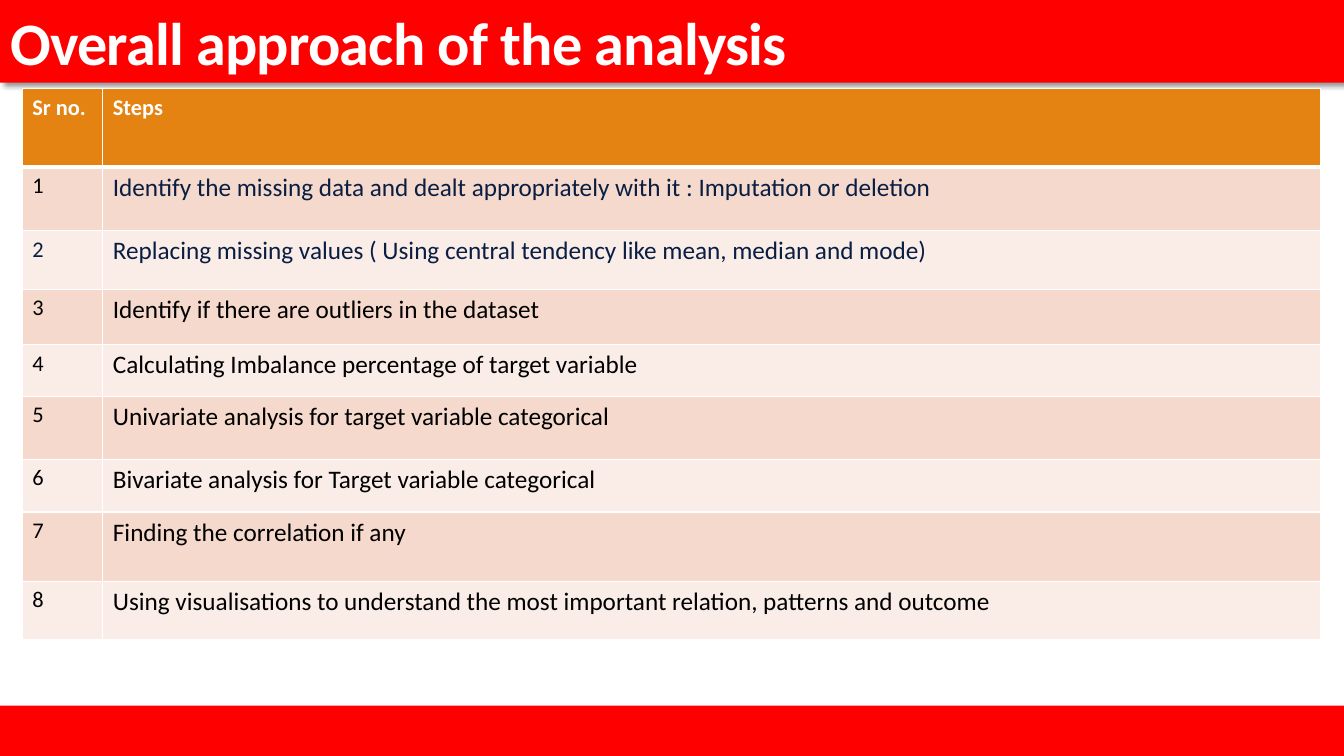
from lxml.etree import SubElement
from pptx import Presentation
from pptx.dml.color import RGBColor
from pptx.enum.shapes import MSO_SHAPE
from pptx.enum.text import MSO_ANCHOR, MSO_AUTO_SIZE, PP_ALIGN
from pptx.oxml.ns import qn
from pptx.util import Inches, Pt

WIDTH, HEIGHT = 13.33, 7.5
RED, WHITE, BLACK, NAVY = "FF0000", "FFFFFF", "000000", "091E42"
HEADER_FILL, BAND_FILLS = "E48312", ("F5D9CC", "FAEDE7")
COLUMN_WIDTHS = (0.8, 12.08)
ROW_HEIGHTS = (0.78, 0.63, 0.58, 0.55, 0.51, 0.63, 0.52, 0.69, 0.58)
STEPS = (
    ("Identify the missing data and dealt appropriately with it : Imputation or deletion", BLACK, NAVY),
    ("Replacing missing values ( Using central tendency like mean, median and mode)", NAVY, NAVY),
    ("Identify if there are outliers in the dataset", BLACK, BLACK),
    ("Calculating Imbalance percentage of target variable", BLACK, BLACK),
    ("Univariate analysis for target variable categorical", BLACK, BLACK),
    ("Bivariate analysis for Target variable categorical", BLACK, BLACK),
    ("Finding the correlation if any", BLACK, BLACK),
    ("Using visualisations to understand the most important relation, patterns and outcome", BLACK, BLACK),
)


def paint(fill, color):
    """Make a fill solid in the given hex colour."""
    fill.solid()
    fill.fore_color.rgb = RGBColor.from_string(color)


def add_run(paragraph, text, size, color, bold=False):
    """Add one formatted Calibri run and return it."""
    run = paragraph.add_run()
    run.text = text
    run.font.name = "Calibri"
    run.font.size = Pt(size)
    run.font.bold = bold
    paint(run.font.fill, color)
    return run


def add_shadow(shape):
    """Give a shape a soft grey shadow to the lower right."""
    shape.shadow.inherit = False
    effects = shape._element.spPr.find(qn("a:effectLst"))
    shadow = SubElement(effects, qn("a:outerShdw"), blurRad=str(Pt(4)), dist=str(Pt(3)),
                        dir="2700000", algn="tl", rotWithShape="0")
    color = SubElement(shadow, qn("a:srgbClr"), val=BLACK)
    SubElement(color, qn("a:alpha"), val="40000")


def add_title(slide, left, top, width, height):
    """Turn the title placeholder into the red heading bar."""
    title = slide.shapes.title
    title.left, title.top = Inches(left), Inches(top)
    title.width, title.height = Inches(width), Inches(height)
    paint(title.fill, RED)
    add_shadow(title)
    frame = title.text_frame
    frame.word_wrap = True
    frame.auto_size = MSO_AUTO_SIZE.NONE
    frame.vertical_anchor = MSO_ANCHOR.BOTTOM
    paragraph = frame.paragraphs[0]
    paragraph.alignment = PP_ALIGN.LEFT
    paragraph.line_spacing = 0.85
    run = add_run(paragraph, "Overall approach of the analysis", 43, WHITE, True)
    run.font._element.set("spc", "-50")


def add_footer_bar(slide, left, top, width, height):
    """Draw the plain red bar along the bottom."""
    bar = slide.shapes.add_shape(MSO_SHAPE.RECTANGLE, Inches(left), Inches(top),
                                 Inches(width), Inches(height))
    bar.shadow.inherit = False
    paint(bar.fill, RED)
    bar.line.fill.background()


def set_borders(cell, top, bottom):
    """Give a cell white borders, with top and bottom widths in points."""
    properties = cell._tc.get_or_add_tcPr()
    for side, width in (("L", 1), ("R", 1), ("T", top), ("B", bottom)):
        line = SubElement(properties, qn(f"a:ln{side}"), w=str(Pt(width)))
        fill = SubElement(line, qn("a:solidFill"))
        SubElement(fill, qn("a:srgbClr"), val=WHITE)


def add_steps_table(slide, left, top, width, height):
    """Build the numbered table of analysis steps."""
    table = slide.shapes.add_table(len(ROW_HEIGHTS), len(COLUMN_WIDTHS), Inches(left),
                                   Inches(top), Inches(width), Inches(height)).table
    for column, column_width in zip(table.columns, COLUMN_WIDTHS):
        column.width = Inches(column_width)
    rows = [(("Sr no.", 16, WHITE, True), ("Steps", 16, WHITE, True))]
    for number, (step, number_color, step_color) in enumerate(STEPS, 1):
        rows.append(((str(number), 16, number_color), (step, 18, step_color)))
    for index, (row, row_height, contents) in enumerate(zip(table.rows, ROW_HEIGHTS, rows)):
        row.height = Inches(row_height)
        for cell, content in zip(row.cells, contents):
            set_borders(cell, 3 if index == 1 else 1, 3 if index == 0 else 1)
            paint(cell.fill, BAND_FILLS[(index - 1) % 2] if index else HEADER_FILL)
            add_run(cell.text_frame.paragraphs[0], *content)


def main():
    """Build and save the one-slide presentation."""
    presentation = Presentation()
    presentation.slide_width, presentation.slide_height = Inches(WIDTH), Inches(HEIGHT)
    slide = presentation.slides.add_slide(presentation.slide_layouts[5])
    paint(slide.background.fill, WHITE)
    add_footer_bar(slide, 0, HEIGHT - 0.5, WIDTH, 0.5)
    add_title(slide, 0, 0, WIDTH, 0.82)
    add_steps_table(slide, 0.22, 0.88, sum(COLUMN_WIDTHS), sum(ROW_HEIGHTS))
    presentation.save("out.pptx")


if __name__ == "__main__":
    main()
